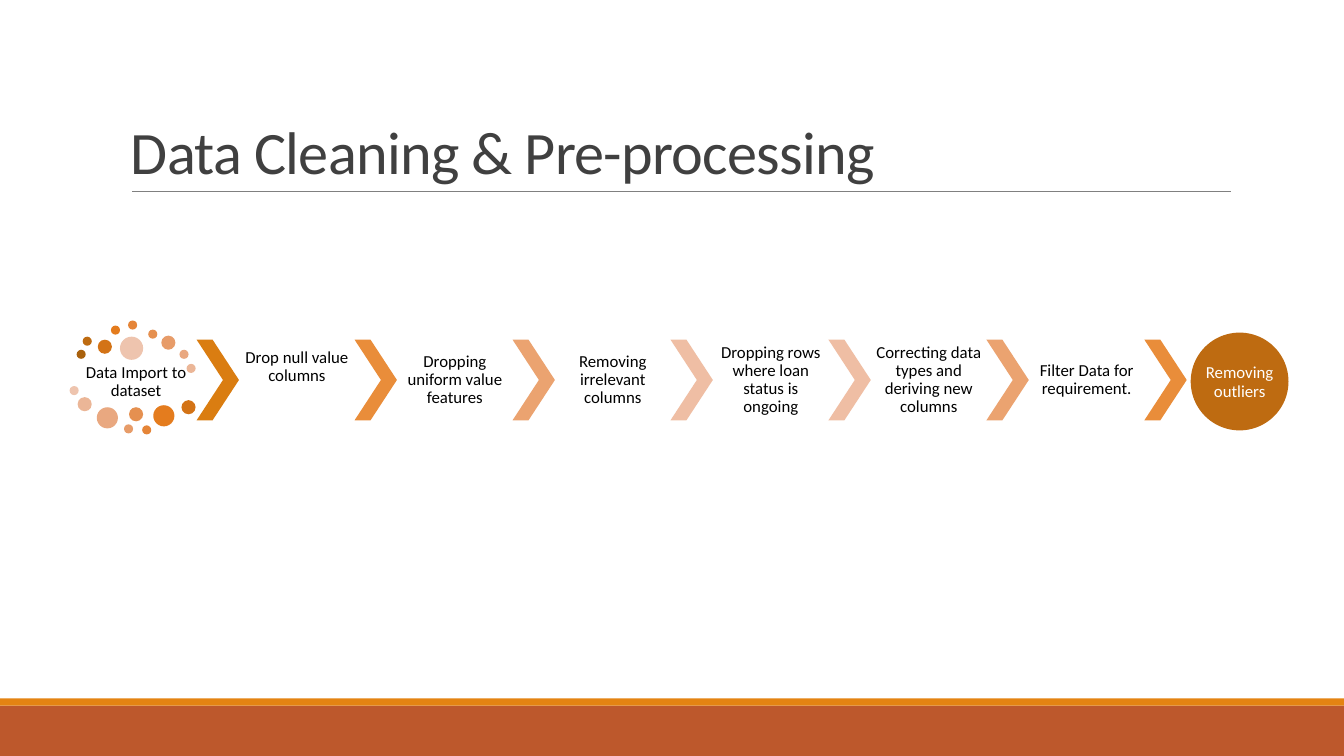
from pptx import Presentation
from pptx import util as u
from pptx.dml.color import RGBColor
from pptx.enum import shapes, text

WIDTH, HEIGHT = 13.33, 7.5
OVAL = shapes.MSO_SHAPE.OVAL
CHEVRON_SIZE = (0.42, 0.8)
LABEL_WIDTH = 1.15

DOTS = [
    (0.07, 0.29, 0.09, "A9610D"), (0.13, 0.16, 0.09, "BE6B11"),
    (0.28, 0.19, 0.14, "D37316"), (0.41, 0.05, 0.09, "E47C1E"),
    (0.58, 0, 0.09, "E58538"), (0.78, 0.09, 0.09, "E59050"),
    (0.91, 0.15, 0.14, "E79C69"), (1.09, 0.29, 0.09, "E9A880"),
    (1.16, 0.43, 0.09, "EBB697"), (0.5, 0.16, 0.23, "EEC4AE"),
    (0, 0.65, 0.09, "EEC4AE"), (0.08, 0.76, 0.14, "EBB697"),
    (0.27, 0.86, 0.21, "E9A880"), (0.54, 1.03, 0.09, "E79C69"),
    (0.59, 0.86, 0.14, "E59050"), (0.72, 1.04, 0.09, "E58538"),
    (0.83, 0.84, 0.21, "E47C1E"), (1.11, 0.79, 0.14, "D37316"),
]
STEPS = [
    ("Drop null value columns", 0.27),
    ("Dropping uniform value features", 0.02),
    ("Removing irrelevant columns", 0.02),
    ("Dropping rows where loan status is ongoing", 0.02),
    ("Correcting data types and deriving new columns", 0.02),
    ("Filter Data for requirement.", 0.02),
]
CHEVRON_COLOURS = ["DA7D11", "E98D3A", "EBA370", "EFBEA4",
                   "EFBEA4", "EBA370", "E98D3A"]


def colour(value):
    return RGBColor.from_string(value)


def inches(*lengths):
    return [u.Inches(length) for length in lengths]


def add_filled(slide, kind, box, fill):
    shape = slide.shapes.add_shape(kind, *inches(*box))
    shape.shadow.inherit = False
    shape.fill.solid()
    shape.fill.fore_color.rgb = colour(fill)
    shape.line.fill.background()
    return shape


def add_text(slide, box, wording, size, ink, insets, anchor, align, spacing):
    frame = slide.shapes.add_textbox(*inches(*box)).text_frame
    frame.word_wrap = True
    frame.vertical_anchor = anchor
    (frame.margin_left, frame.margin_top,
     frame.margin_right, frame.margin_bottom) = inches(*insets)
    paragraph = frame.paragraphs[0]
    paragraph.text = wording
    paragraph.alignment = align
    paragraph.line_spacing = spacing
    paragraph.font.name = "Calibri"
    paragraph.font.size = u.Pt(size)
    paragraph.font.color.rgb = colour(ink)
    return paragraph


def add_label(slide, box, wording, ink="000000", inset=0.02, bottom=0.02):
    add_text(slide, box, wording, 12, ink, (inset, inset, inset, bottom),
             text.MSO_ANCHOR.MIDDLE, text.PP_ALIGN.CENTER, 0.9)


def add_footer(slide, left, top, width, height):
    stripe = 0.07
    add_filled(slide, shapes.MSO_SHAPE.RECTANGLE,
               (left, top + stripe, width, height - stripe), "BD582C")
    add_filled(slide, shapes.MSO_SHAPE.RECTANGLE,
               (left, top, width, stripe), "E48312")


def add_title(slide, left, top, width, height):
    base = top + height
    rule = slide.shapes.add_connector(
        shapes.MSO_CONNECTOR.STRAIGHT,
        *inches(left + 0.11, base, left + width + 0.01, base))
    rule.line.color.rgb = colour("808080")
    rule.line.width = u.Pt(0.5)
    properties = rule.element.spPr
    properties.append(properties.makeelement(
        "{http://schemas.openxmlformats.org/drawingml/2006/main}effectLst", {}))
    title = add_text(slide, (left, top, width, height),
                     "Data Cleaning & Pre-processing", 43, "404040",
                     (0.1, 0.05, 0.1, 0.05), text.MSO_ANCHOR.BOTTOM,
                     text.PP_ALIGN.LEFT, 0.85)
    title.runs[0].font._element.set("spc", "-50")


def add_import_cloud(slide, left, top):
    for x, y, size, fill in DOTS:
        add_filled(slide, OVAL, (left + x, top + y, size, size), fill)
    add_label(slide, (left + 0.09, top + 0.42, 1.14, 0.38),
              "Data Import to dataset")


def add_chain(slide, left, top, width):
    chevron_width, height = CHEVRON_SIZE
    pitch = (width - chevron_width) / len(STEPS)
    for column, fill in enumerate(CHEVRON_COLOURS):
        chevron = add_filled(slide, shapes.MSO_SHAPE.CHEVRON,
                             (left + column * pitch, top, *CHEVRON_SIZE), fill)
        chevron.adjustments[0] = 0.623
    for column, (wording, bottom) in enumerate(STEPS):
        add_label(slide, (left + column * pitch + chevron_width, top,
                          LABEL_WIDTH, height), wording, bottom=bottom)


def add_outcome(slide, left, top, size):
    add_filled(slide, OVAL, (left, top, size, size), "BE6B11")
    margin = 0.14
    inner = size - 2 * margin
    add_label(slide, (left + margin, top + margin + 0.01, inner, inner),
              "Removing outliers", "FFFFFF", 0, 0)


def main():
    deck = Presentation()
    deck.slide_width, deck.slide_height = inches(WIDTH, HEIGHT)
    slide = deck.slides.add_slide(deck.slide_layouts[6])
    add_footer(slide, 0, HEIGHT - 0.57, WIDTH, 0.57)
    add_title(slide, 1.2, 0.31, 11, 1.59)
    add_import_cloud(slide, 0.69, 3.18)
    add_chain(slide, 1.95, 3.37, 9.82)
    add_outcome(slide, 11.81, 3.3, 0.97)
    deck.save("out.pptx")


if __name__ == "__main__":
    main()
